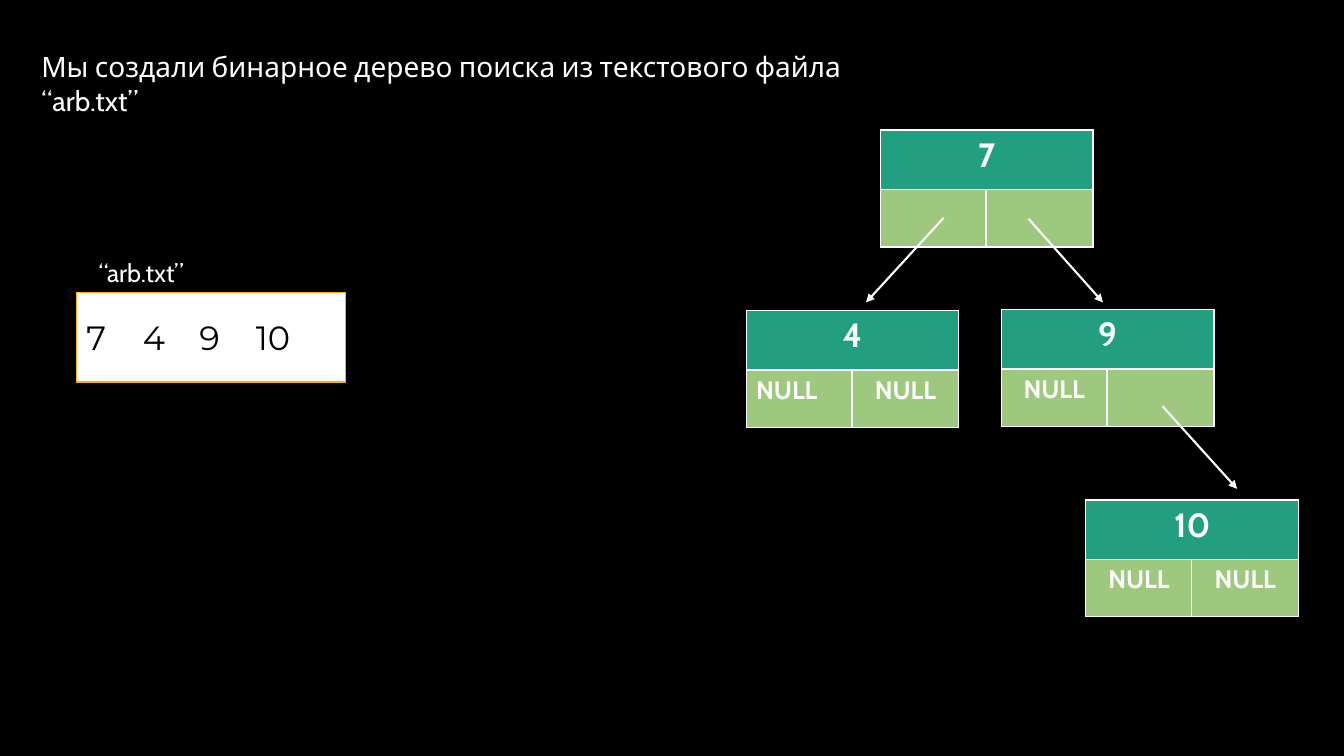
from lxml import etree
from pptx import Presentation
from pptx.dml.color import RGBColor
from pptx.enum.shapes import MSO_CONNECTOR as Connector, MSO_SHAPE as Shape
from pptx.enum.text import MSO_ANCHOR as Anchor, MSO_AUTO_SIZE as AutoSize, PP_ALIGN as Align
from pptx.oxml.ns import qn
from pptx.util import Inches, Pt

BLACK = RGBColor(0x00, 0x00, 0x00)
WHITE = RGBColor(0xFF, 0xFF, 0xFF)
TEAL = RGBColor(0x22, 0x9E, 0x80)
GREEN = RGBColor(0x9E, 0xC8, 0x7E)
AMBER = RGBColor(0xFC, 0xB1, 0x1C)

KEY_HEIGHT, LINK_HEIGHT = 0.59, 0.57
LEFT_WIDTH, RIGHT_WIDTH = 1.05, 1.06
NODES = [
    (1.33, 0, "7", "", "", Align.CENTER),
    (0, 1.79, "4", "NULL", "NULL", Align.LEFT),
    (2.53, 1.78, "9", "NULL", "", Align.CENTER),
    (3.37, 3.67, "10", "NULL", "NULL", Align.CENTER),
]
ARROWS = [
    (1.96, 0.87, 1.19, 1.71),
    (2.8, 0.88, 3.54, 1.71),
    (4.13, 2.74, 4.87, 3.56),
]


def write_text(frame, text, size=18, font="Cabin", color=WHITE, bold=False,
               align=Align.LEFT, anchor=Anchor.TOP, tab_step=0):
    frame.word_wrap = True
    frame.vertical_anchor = anchor
    para = frame.paragraphs[0]
    para.alignment = align
    if tab_step:
        tabs = etree.SubElement(para._p.get_or_add_pPr(), qn("a:tabLst"))
        for number in range(1, text.count("\t") + 1):
            etree.SubElement(tabs, qn("a:tab"), pos=str(Inches(number * tab_step)), algn="l")
    span = para.add_run()
    span.text = text
    span.font.size = Pt(size)
    span.font.name = font
    span.font.bold = bold
    span.font.color.rgb = color


def add_title(page, left, top, width, height):
    title = page.shapes.title
    title.left, title.top = Inches(left), Inches(top)
    title.width, title.height = Inches(width), Inches(height)
    title.text_frame.auto_size = AutoSize.NONE
    write_text(title.text_frame, "Мы создали бинарное дерево поиска из текстового файла “arb.txt”", size=20)


def add_file(page, left, top, width, height):
    label = page.shapes.add_textbox(Inches(left + 0.12), Inches(top), Inches(1.09), Inches(0.4))
    write_text(label.text_frame, "“arb.txt”")
    box = page.shapes.add_shape(Shape.RECTANGLE, Inches(left), Inches(top + 0.4),
                                Inches(width), Inches(height - 0.4))
    box.shadow.inherit = False
    box.fill.solid()
    box.fill.fore_color.rgb = WHITE
    box.line.color.rgb = AMBER
    box.line.width = Pt(1)
    write_text(box.text_frame, "7\t4\t9\t10", size=24, font="Montserrat", color=BLACK,
               anchor=Anchor.MIDDLE, tab_step=0.56)


def add_cell(page, left, top, width, height, text, fill, **text_format):
    table = page.shapes.add_table(1, 1, Inches(left), Inches(top), Inches(width), Inches(height)).table
    table.first_row = table.horz_banding = False
    cell = table.cell(0, 0)
    properties = cell._tc.get_or_add_tcPr()
    for side in ("a:lnL", "a:lnR", "a:lnT", "a:lnB"):
        border = etree.SubElement(properties, qn(side), w=str(Pt(1)))
        paint = etree.SubElement(border, qn("a:solidFill"))
        etree.SubElement(paint, qn("a:srgbClr"), val=str(WHITE))
    cell.fill.solid()
    cell.fill.fore_color.rgb = fill
    if text:
        write_text(cell.text_frame, text, bold=True, **text_format)


def add_node(page, left, top, key, left_link, right_link, left_align):
    link_top = top + KEY_HEIGHT
    add_cell(page, left, top, LEFT_WIDTH + RIGHT_WIDTH, KEY_HEIGHT, key, TEAL,
             size=24, align=Align.CENTER)
    add_cell(page, left, link_top, LEFT_WIDTH, LINK_HEIGHT, left_link, GREEN, align=left_align)
    add_cell(page, left + LEFT_WIDTH, link_top, RIGHT_WIDTH, LINK_HEIGHT, right_link, GREEN,
             align=Align.CENTER)


def add_arrow(page, start_x, start_y, end_x, end_y):
    arrow = page.shapes.add_connector(Connector.STRAIGHT, Inches(start_x), Inches(start_y),
                                      Inches(end_x), Inches(end_y))
    arrow.line.color.rgb = WHITE
    arrow.line.width = Pt(1.5)
    etree.SubElement(arrow.line._get_or_add_ln(), qn("a:tailEnd"), type="triangle")
    etree.SubElement(arrow._element.spPr, qn("a:effectLst"))


def add_tree(page, left, top):
    for x, y, *content in NODES:
        add_node(page, left + x, top + y, *content)
    for start_x, start_y, end_x, end_y in ARROWS:
        add_arrow(page, left + start_x, top + start_y, left + end_x, top + end_y)


def main():
    deck = Presentation()
    deck.slide_width, deck.slide_height = Inches(13.33), Inches(7.5)
    page = deck.slides.add_slide(deck.slide_layouts[5])
    page.background.fill.solid()
    page.background.fill.fore_color.rgb = BLACK
    add_title(page, 0.31, 0.44, 8.32, 0.44)
    add_file(page, 0.76, 2.5, 2.67, 1.29)
    add_tree(page, 7.4, 1.29)
    deck.save("out.pptx")


if __name__ == "__main__":
    main()
